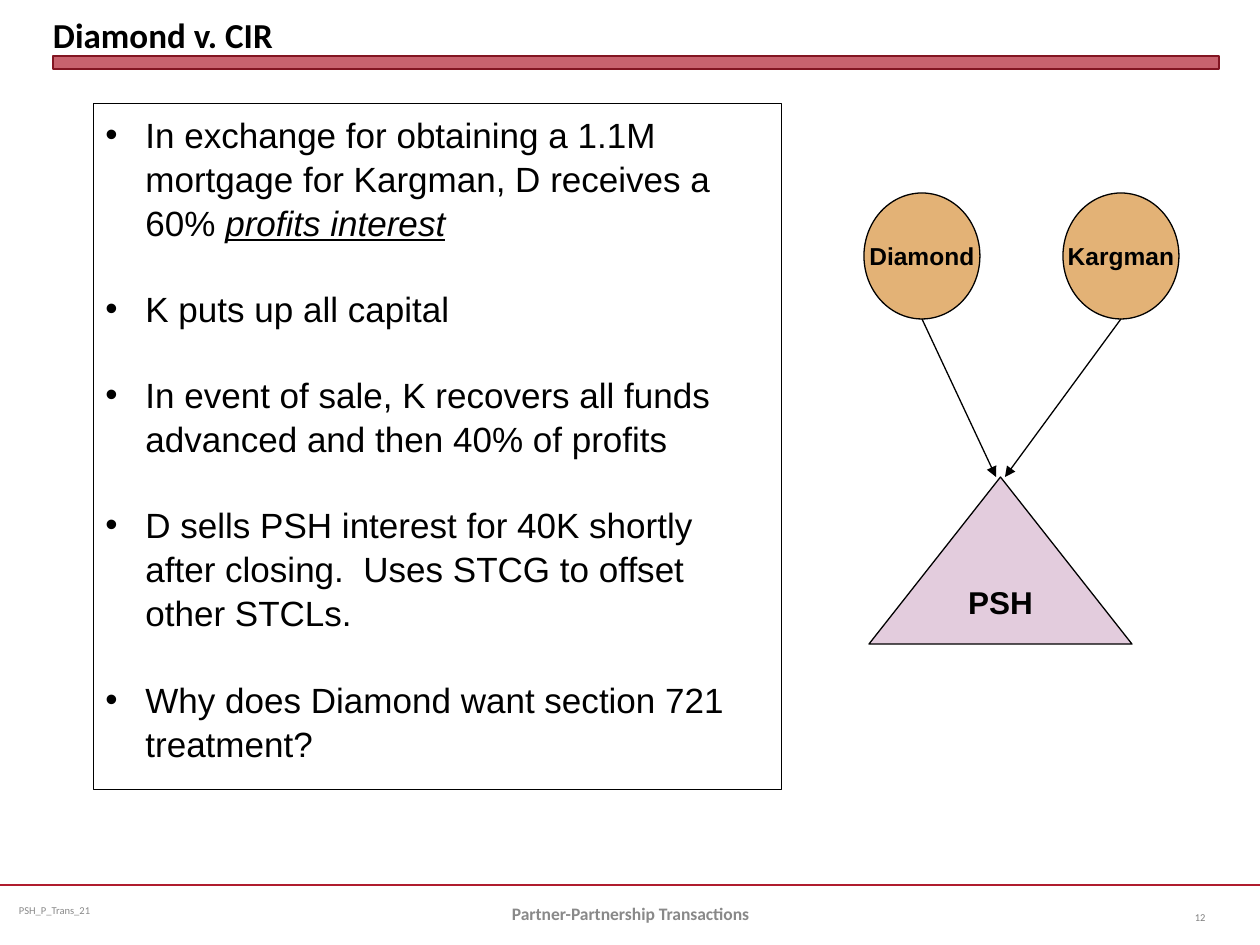
from pptx import Presentation
from pptx.dml.color import RGBColor
from pptx.enum.shapes import MSO_CONNECTOR, MSO_SHAPE
from pptx.enum.text import MSO_ANCHOR, PP_ALIGN
from pptx.oxml.ns import qn
from pptx.util import Pt
from lxml.etree import SubElement

SCALE = 914400 / 126  # EMU in one px
HUES = {
    "ink": "000000", "red": "B01C2E", "edge": "821522", "tan": "E3B276",
    "mauve": "E3CCDD", "grey": "898989", "dim": "808080",
}
POINTS = [
    [("In exchange for obtaining a 1.1M mortgage for Kargman, D receives a 60% ", {}),
     ("profits interest", {"italic": True, "underline": True})],
    [("K puts up all capital", {})],
    [("In event of sale, K recovers all funds advanced and then 40% of profits", {})],
    [("D sells PSH interest for 40K shortly after closing.  Uses STCG to offset other STCLs.", {})],
    [("Why does Diamond want section 721 treatment?", {})],
]


def px(n):
    return round(n * SCALE)


def hue(name):
    return RGBColor.from_string(HUES[name])


def style(item, fmt):
    for key, val in fmt.items():
        setattr(item, key, val)


def add_run(para, text, size, face="Arial", ink="ink", **fmt):
    run = para.add_run()
    run.text = text
    style(run.font, {"size": Pt(size), "name": face, **fmt})
    run.font.color.rgb = hue(ink)


def add_text(slide, box, text, align, frame, **fmt):
    tf = slide.shapes.add_textbox(*map(px, box)).text_frame
    style(tf, {"word_wrap": True, "vertical_anchor": MSO_ANCHOR.MIDDLE, **frame})
    para = tf.paragraphs[0]
    para.alignment = align
    add_run(para, text, **fmt)


def add_form(slide, kind, box, fill=None, edge="ink", width=0.75):
    form = slide.shapes.add_shape(kind, *map(px, box))
    form.shadow.inherit = False
    if fill:
        form.fill.solid()
        form.fill.fore_color.rgb = hue(fill)
    else:
        form.fill.background()
    form.line.color.rgb = hue(edge)
    form.line.width = Pt(width)
    return form


def add_line(slide, start, end, ink="ink", width=0.75, arrow=False):
    line = slide.shapes.add_connector(MSO_CONNECTOR.STRAIGHT, *map(px, start + end))
    line.line.color.rgb = hue(ink)
    line.line.width = Pt(width)
    if arrow:
        SubElement(line.line._get_or_add_ln(), qn("a:tailEnd"), type="triangle")
    SubElement(line._element.spPr, qn("a:effectLst"))


def add_node(slide, kind, box, text, fill, size):
    node = add_form(slide, kind, box, fill)
    tf = node.text_frame
    style(tf, {"word_wrap": False, "vertical_anchor": MSO_ANCHOR.MIDDLE})
    para = tf.paragraphs[0]
    para.alignment = PP_ALIGN.CENTER
    add_run(para, text, size, bold=True)


def head(slide, x, y, w, h):
    # Title above a translucent rule
    bar = 13
    rule = add_form(slide, MSO_SHAPE.RECTANGLE, (x, y + h - bar, w, bar), "red", "edge", 0)
    tone = rule.fill._xPr.find(qn("a:solidFill"))[0]
    SubElement(tone, qn("a:alpha"), val="69000")
    flush = dict.fromkeys(("margin_left", "margin_top", "margin_right", "margin_bottom"), 0)
    add_text(slide, (x, y, w, h - bar), "Diamond v. CIR", PP_ALIGN.LEFT,
             {**flush, "vertical_anchor": MSO_ANCHOR.BOTTOM},
             size=20, face="Calibri", bold=True)


def facts(slide, x, y, w, h):
    # Framed bullet list
    form = add_form(slide, MSO_SHAPE.RECTANGLE, (x, y, w, h), width=0.5)
    tf = form.text_frame
    style(tf, {"word_wrap": True, "vertical_anchor": MSO_ANCHOR.TOP, "margin_top": px(8)})
    for i, parts in enumerate(POINTS):
        para = tf.add_paragraph() if i else tf.paragraphs[0]
        style(para, {"alignment": PP_ALIGN.LEFT, "line_spacing": 1.05, "space_after": Pt(24)})
        props = para._p.get_or_add_pPr()
        props.set("marL", str(px(40)))
        props.set("indent", str(px(-40)))
        SubElement(props, qn("a:buFont"), typeface="Arial")
        SubElement(props, qn("a:buChar"), char="•")
        for text, fmt in parts:
            add_run(para, text, 20, **fmt)


def chart(slide, x, y, w, h):
    # Two partners, each with an arrow to the partnership
    wide, tall = 116, 126
    peak = y + 284
    mid = x + 137
    for name, left, tip in (("Diamond", x, mid - 5), ("Kargman", x + w - wide, mid + 4)):
        add_node(slide, MSO_SHAPE.OVAL, (left, y, wide, tall), name, "tan", 14)
        add_line(slide, (left + wide // 2, y + tall), (tip, peak), arrow=True)
    add_node(slide, MSO_SHAPE.ISOSCELES_TRIANGLE, (x + 5, peak, 263, y + h - peak),
             "PSH", "mauve", 18)


def foot(slide, x, y, w, h):
    # Rule, file label, course name and page number
    add_line(slide, (x, y), (x + w, y), "red", 1.25)
    slim = {"margin_left": px(9), "margin_right": px(9)}
    add_text(slide, (x + 10, y, 325, h), "PSH_P_Trans_21", PP_ALIGN.LEFT, slim,
             size=6, face="Calibri", ink="grey")
    add_text(slide, (x + 431, y + 4, 399, h), "Partner-Partnership Transactions",
             PP_ALIGN.CENTER, {}, size=10, face="Calibri", ink="grey", bold=True)
    add_text(slide, (x + 1155, y + 7, 63, h), "12", PP_ALIGN.RIGHT, {},
             size=6, face="Calibri", ink="dim")


def main():
    deck = Presentation()
    deck.slide_width, deck.slide_height = px(1260), px(945)
    slide = deck.slides.add_slide(deck.slide_layouts[6])
    foot(slide, 0, 885, 1260, 50)
    head(slide, 53, 6, 1166, 63)
    chart(slide, 864, 193, 315, 451)
    facts(slide, 93, 103, 689, 687)
    deck.save("out.pptx")


if __name__ == "__main__":
    main()
